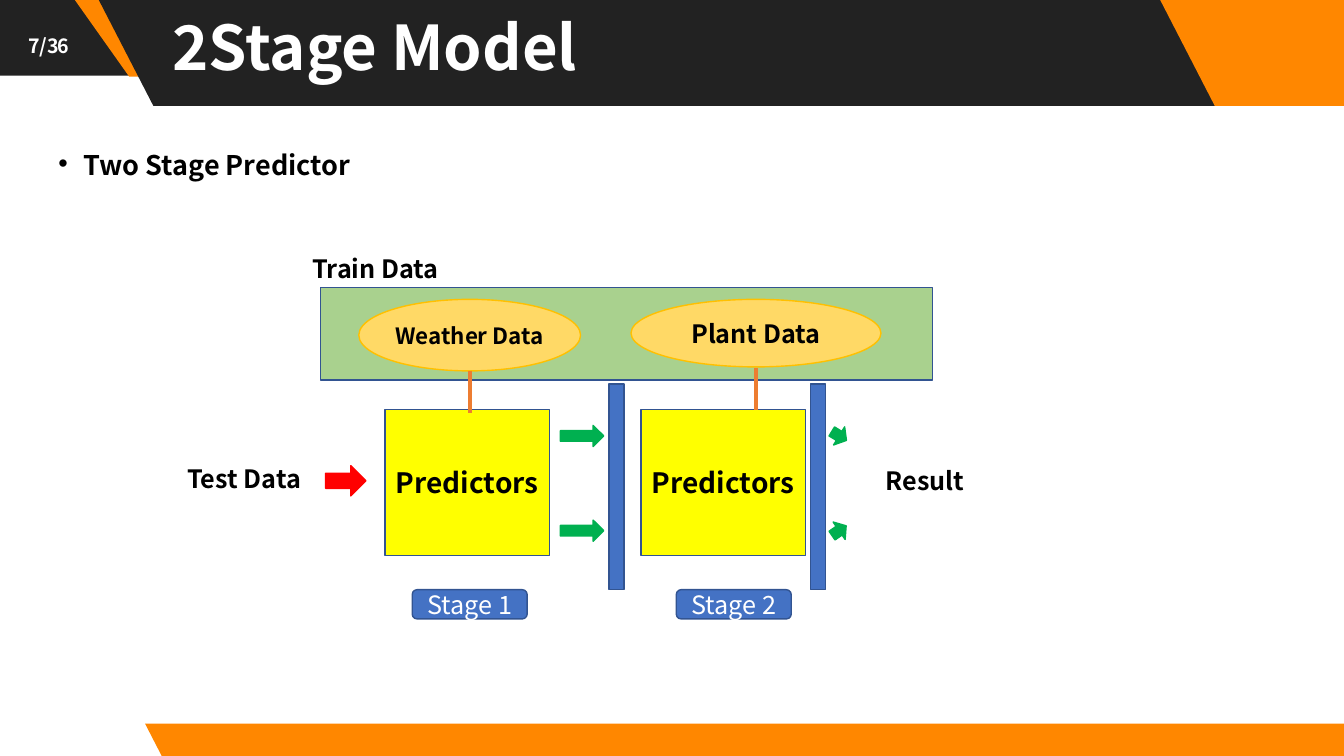
"""Build the "2Stage Model" slide with its two-stage predictor diagram."""
from dataclasses import dataclass
from typing import Optional

from lxml.etree import SubElement
from pptx import Presentation
from pptx.dml.color import RGBColor
from pptx.enum.shapes import MSO_CONNECTOR as Connector, MSO_SHAPE as Preset
from pptx.enum.text import MSO_ANCHOR as Anchor, PP_ALIGN as Align
from pptx.oxml.ns import qn
from pptx.slide import Slide
from pptx.text.text import TextFrame, _Paragraph as Paragraph
from pptx.util import Pt


@dataclass(frozen=True)
class Theme:
    font: str = "Noto Sans CJK KR"
    orange: str = "FF8700"
    dark: str = "222222"
    white: str = "FFFFFF"
    black: str = "000000"
    data_green: str = "A9D18E"
    data_gold: str = "FFD966"
    gold_edge: str = "FFC000"
    yellow: str = "FFFF00"
    blue: str = "4472C4"
    blue_edge: str = "325491"
    red: str = "FF0000"
    flow_green: str = "00B050"
    link: str = "ED7D31"
    title_size: float = 44
    predictor_size: float = 20
    bullet_size: float = 19.3
    label_size: float = 18
    weather_size: float = 16
    page_size: float = 14


THEME = Theme()


@dataclass(frozen=True)
class Box:
    left: float
    top: float
    width: float
    height: float

    def emu(self) -> tuple[Pt, Pt, Pt, Pt]:
        return Pt(self.left), Pt(self.top), Pt(self.width), Pt(self.height)


@dataclass(frozen=True)
class Caption:
    text: str
    size: float = THEME.label_size
    color: str = THEME.black
    bold: bool = True


@dataclass(frozen=True)
class Part:
    preset: Preset
    box: Box
    fill: str
    edge: Optional[str] = None
    caption: Optional[Caption] = None
    rotation: float = 0


@dataclass(frozen=True)
class Band:
    box: Box
    fill: str
    slant: float = 0.515


@dataclass(frozen=True)
class Link:
    x: float
    top: float
    bottom: float


def write(frame: TextFrame, caption: Caption) -> Paragraph:
    paragraph = frame.paragraphs[0]
    paragraph.text = caption.text
    font = paragraph.runs[0].font
    font.name, font.size, font.bold = THEME.font, Pt(caption.size), caption.bold
    font.color.rgb = RGBColor.from_string(caption.color)
    return paragraph


def set_margins(frame: TextFrame, horizontal: float, vertical: float) -> None:
    frame.margin_left = frame.margin_right = Pt(horizontal)
    frame.margin_top = frame.margin_bottom = Pt(vertical)


def draw_part(slide: Slide, part: Part):
    shape = slide.shapes.add_shape(part.preset, *part.box.emu())
    shape.shadow.inherit = False
    shape.rotation = part.rotation
    shape.fill.solid()
    shape.fill.fore_color.rgb = RGBColor.from_string(part.fill)
    if part.edge:
        shape.line.color.rgb = RGBColor.from_string(part.edge)
        shape.line.width = Pt(1)
    else:
        shape.line.fill.background()
    if part.caption:
        frame = shape.text_frame
        frame.word_wrap = False
        frame.vertical_anchor = Anchor.MIDDLE
        set_margins(frame, 0, 0)
        write(frame, part.caption).alignment = Align.CENTER
    return shape


def draw_band(slide: Slide, band: Band) -> None:
    shape = draw_part(slide, Part(Preset.PARALLELOGRAM, band.box, band.fill))
    shape.adjustments[0] = band.slant
    shape._element.spPr.find(qn("a:xfrm")).set("flipH", "1")


def draw_text(slide: Slide, box: Box, caption: Caption) -> tuple[TextFrame, Paragraph]:
    frame = slide.shapes.add_textbox(*box.emu()).text_frame
    frame.word_wrap = True
    return frame, write(frame, caption)


def draw_link(slide: Slide, link: Link) -> None:
    x = Pt(link.x)
    connector = slide.shapes.add_connector(Connector.STRAIGHT, x, Pt(link.top), x, Pt(link.bottom))
    connector.line.color.rgb = RGBColor.from_string(THEME.link)
    connector.line.width = Pt(3)
    SubElement(connector._element.spPr, qn("a:effectLst"))


def draw_headings(slide: Slide) -> None:
    frame, page = draw_text(slide, Box(-5.76, 19.44, 80.64, 25.92),
                            Caption("7 / 36", THEME.page_size, THEME.white))
    frame.vertical_anchor = Anchor.MIDDLE
    set_margins(frame, 2.88, 0)
    page.alignment = Align.CENTER
    page.runs[0]._r.get_or_add_rPr().set("spc", "-150")

    frame, title = draw_text(slide, Box(115.92, -2.88, 706.32, 78.48),
                             Caption("2Stage Model", THEME.title_size, THEME.white))
    frame.vertical_anchor = Anchor.MIDDLE
    set_margins(frame, 7.2, 7.2)
    title.line_spacing = 0.9

    _, point = draw_text(slide, Box(34.56, 108.72, 550.08, 96.48),
                         Caption("Two Stage Predictor", THEME.bullet_size))
    point.line_spacing, point.space_before = 0.7, Pt(10)
    properties = point._p.get_or_add_pPr()
    properties.set("marL", str(Pt(18)))
    properties.set("indent", str(Pt(-18)))
    SubElement(properties, qn("a:buFont")).set("typeface", "Arial")
    SubElement(properties, qn("a:buChar")).set("char", "•")


BANDS = [
    Band(Box(103.68, 516.96, 878.4, 23.76), THEME.orange),
    Band(Box(-88.56, -24.48, 185.04, 78.48), THEME.dark),
    Band(Box(36.72, -23.76, 74.16, 78.48), THEME.orange, 0.75),
    Band(Box(69.12, -2.88, 826.56, 78.48), THEME.dark),
    Band(Box(827.28, -2.88, 185.04, 78.48), THEME.orange),
]
TRAIN_DATA = [
    Part(Preset.RECTANGLE, Box(228.96, 205.2, 437.04, 66.24), THEME.data_green, THEME.blue_edge),
    Part(Preset.OVAL, Box(256.32, 213.84, 158.4, 51.12), THEME.data_gold, THEME.gold_edge,
         Caption("Weather Data", THEME.weather_size)),
    Part(Preset.OVAL, Box(450.72, 213.84, 178.56, 48.24), THEME.data_gold, THEME.gold_edge,
         Caption("Plant Data")),
]
PREDICTORS = [
    Part(Preset.RECTANGLE, Box(left, 292.32, 117.36, 104.4), THEME.yellow, THEME.blue_edge,
         Caption("Predictors", THEME.predictor_size))
    for left in (275.04, 457.92)
]
BARRIERS = [
    Part(Preset.RECTANGLE, Box(left, 274.32, 10.8, 146.88), THEME.blue, THEME.blue_edge)
    for left in (434.88, 578.88)
]
STAGES = [
    Part(Preset.ROUNDED_RECTANGLE, Box(left, 421.2, 82.08, 20.88), THEME.blue, THEME.blue_edge,
         Caption(f"Stage {number}", color=THEME.white, bold=False))
    for number, left in enumerate((294.48, 483.12), start=1)
]
TEST_ARROW = Part(Preset.RIGHT_ARROW, Box(232.56, 332.64, 28.8, 21.6), THEME.red, THEME.red)
FLOW_ARROWS = [
    Part(Preset.RIGHT_ARROW, Box(left, top, width, 15.12), THEME.flow_green, THEME.flow_green,
         rotation=rotation)
    for left, width, turns in ((400.32, 30.96, (0, 0)), (593.28, 12.24, (31.5, 325.3)))
    for top, rotation in zip((303.84, 371.52), turns)
]
LABELS = {
    "Train Data": Box(216, 177.12, 138.24, 28.8),
    "Test Data": Box(126.72, 327.6, 138.24, 23.04),
    "Result": Box(625.68, 329.04, 166.32, 28.8),
}
LINKS = [Link(335.52, 264.96, 295.2), Link(540, 262.8, 293.04)]


def main() -> None:
    deck = Presentation()
    deck.slide_width, deck.slide_height = Pt(960), Pt(540)
    slide = deck.slides.add_slide(deck.slide_layouts[6])
    for band in BANDS:
        draw_band(slide, band)
    draw_headings(slide)
    for part in [*TRAIN_DATA, *PREDICTORS, *BARRIERS, *STAGES, TEST_ARROW, *FLOW_ARROWS]:
        draw_part(slide, part)
    for text, box in LABELS.items():
        draw_text(slide, box, Caption(text))
    for link in LINKS:
        draw_link(slide, link)
    deck.save("out.pptx")


if __name__ == "__main__":
    main()
